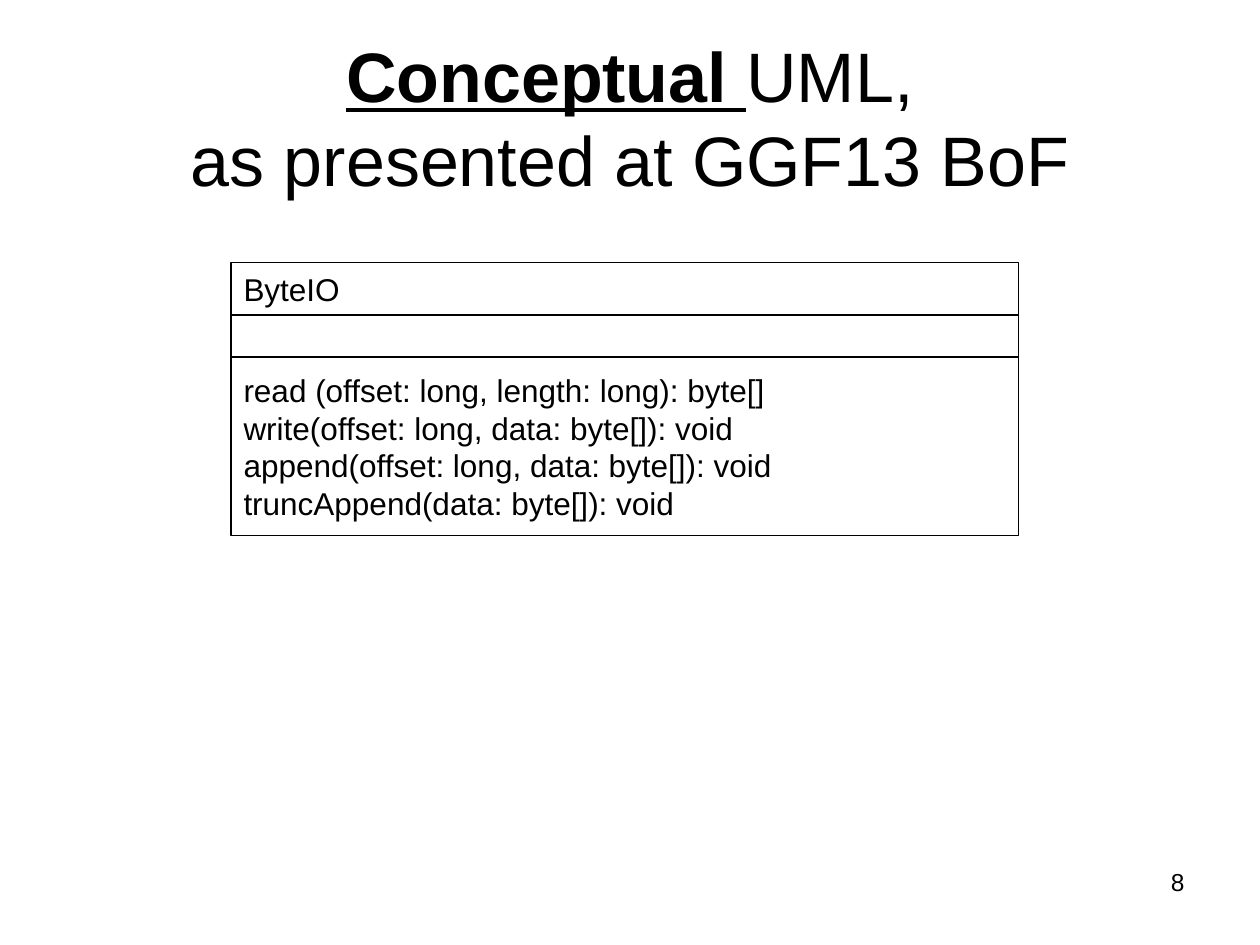
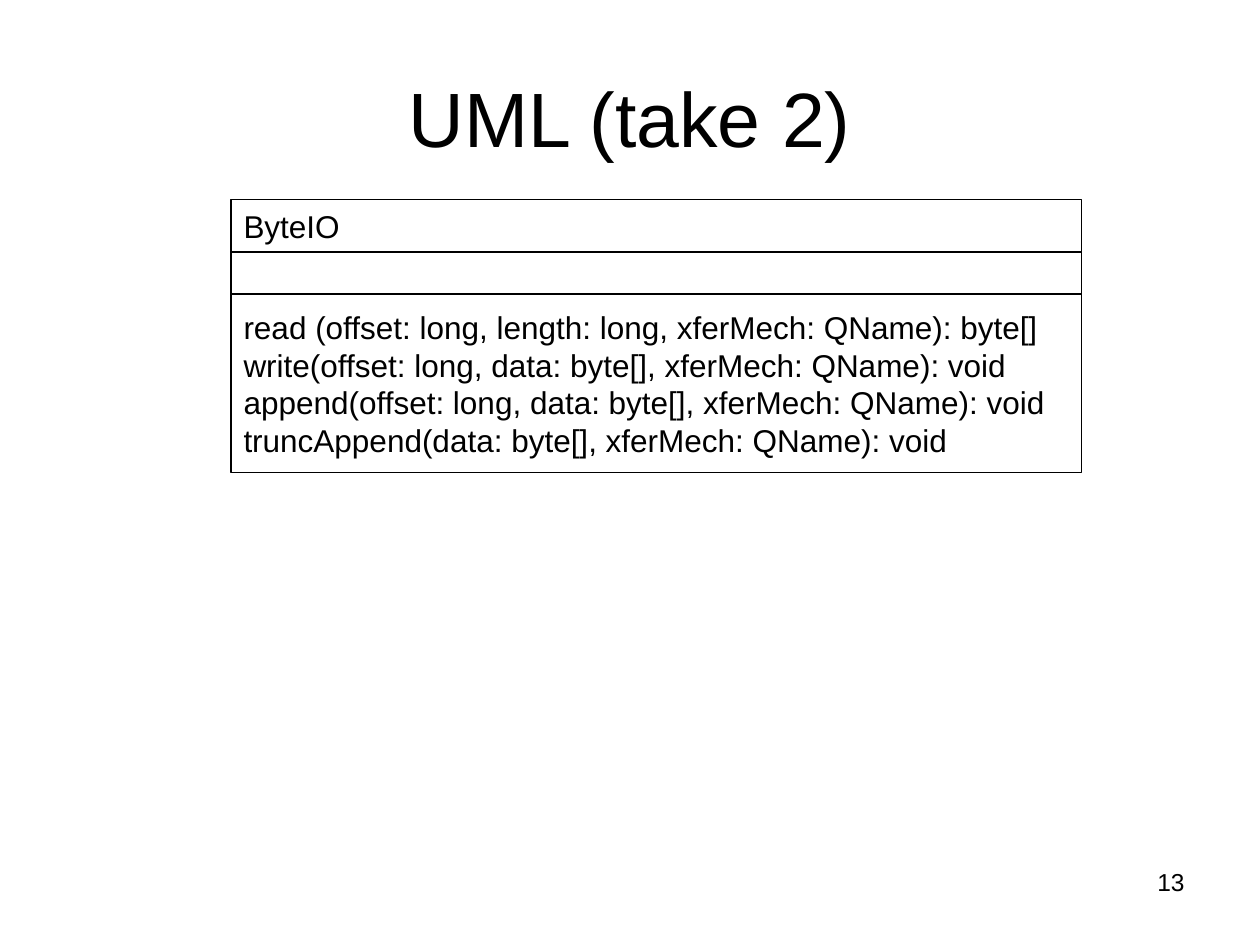
"""Build two slides that show the ByteIO interface as UML class boxes."""

from pptx import Presentation
from pptx.dml.color import RGBColor
from pptx.enum.shapes import MSO_SHAPE
from pptx.enum.text import MSO_ANCHOR, MSO_AUTO_SIZE, PP_ALIGN
from pptx.util import Cm, Pt

SLIDES = [
    {
        "title": [[("Conceptual ", True), ("UML,", False)],
                  [("as presented at GGF13 BoF", False)]],
        "title_size": 40,
        "class_top": 5.29,
        "class_width": 15.88,
        "operations": [
            "read (offset: long, length: long): byte[]",
            "write(offset: long, data: byte[]): void",
            "append(offset: long, data: byte[]): void",
            "truncAppend(data: byte[]): void",
        ],
        "number": "8",
    },
    {
        "title": [[("UML (take 2)", False)]],
        "title_size": 44,
        "class_top": 4.02,
        "class_width": 17.15,
        "operations": [
            "read (offset: long, length: long, xferMech: QName): byte[]",
            "write(offset: long, data: byte[], xferMech: QName): void",
            "append(offset: long, data: byte[], xferMech: QName): void",
            "truncAppend(data: byte[], xferMech: QName): void",
        ],
        "number": "13",
    },
]
CLASS_NAME = "ByteIO"
CLASS_LEFT = 4.66
COMPARTMENT_HEIGHTS = (1.06, 0.85, 3.6)

FONT = "Arial"
BLACK = RGBColor(0, 0, 0)


def format_runs(text_frame, size, alignment):
    """Give every run of a text frame the shared font and colour."""
    for paragraph in text_frame.paragraphs:
        paragraph.alignment = alignment
        for run in paragraph.runs:
            run.font.name = FONT
            run.font.size = Pt(size)
            run.font.color.rgb = BLACK


def set_title(slide, lines, size):
    """Place the title and emphasise the marked parts."""
    title = slide.shapes.title
    title.left, title.top, title.width, title.height = Cm(1.27), Cm(0.76), Cm(22.86), Cm(3.18)
    text_frame = title.text_frame
    text_frame.auto_size = MSO_AUTO_SIZE.NONE
    text_frame.vertical_anchor = MSO_ANCHOR.MIDDLE
    paragraph = text_frame.paragraphs[0]
    for index, line in enumerate(lines):
        if index:
            paragraph.add_line_break()
        for text, emphasised in line:
            run = paragraph.add_run()
            run.text = text
            run.font.bold = run.font.underline = emphasised
    format_runs(text_frame, size, PP_ALIGN.CENTER)


def add_class_box(slide, top, width, operations):
    """Stack the name, attribute and operation compartments."""
    compartments = (CLASS_NAME, "", "\n".join(operations))
    for text, height in zip(compartments, COMPARTMENT_HEIGHTS):
        shape = slide.shapes.add_shape(
            MSO_SHAPE.RECTANGLE, Cm(CLASS_LEFT), Cm(top), Cm(width), Cm(height))
        shape.shadow.inherit = False
        shape.fill.background()
        shape.line.color.rgb = BLACK
        shape.line.width = Pt(0.75)
        if text:
            shape.text_frame.text = text
            shape.text_frame.word_wrap = True
            shape.text_frame.vertical_anchor = MSO_ANCHOR.MIDDLE
            format_runs(shape.text_frame, 18, PP_ALIGN.LEFT)
        top += height


def add_slide_number(slide, number):
    """Write the slide number at the lower right."""
    box = slide.shapes.add_textbox(Cm(18.2), Cm(17.36), Cm(5.93), Cm(1.32))
    box.text_frame.word_wrap = True
    box.text_frame.text = number
    format_runs(box.text_frame, 14, PP_ALIGN.RIGHT)


def main():
    """Create and save the presentation."""
    presentation = Presentation()
    presentation.slide_width, presentation.slide_height = Cm(25.4), Cm(19.05)
    title_only = presentation.slide_layouts[5]
    for content in SLIDES:
        slide = presentation.slides.add_slide(title_only)
        set_title(slide, content["title"], content["title_size"])
        add_class_box(slide, content["class_top"], content["class_width"], content["operations"])
        add_slide_number(slide, content["number"])
    presentation.save("out.pptx")


if __name__ == "__main__":
    main()
